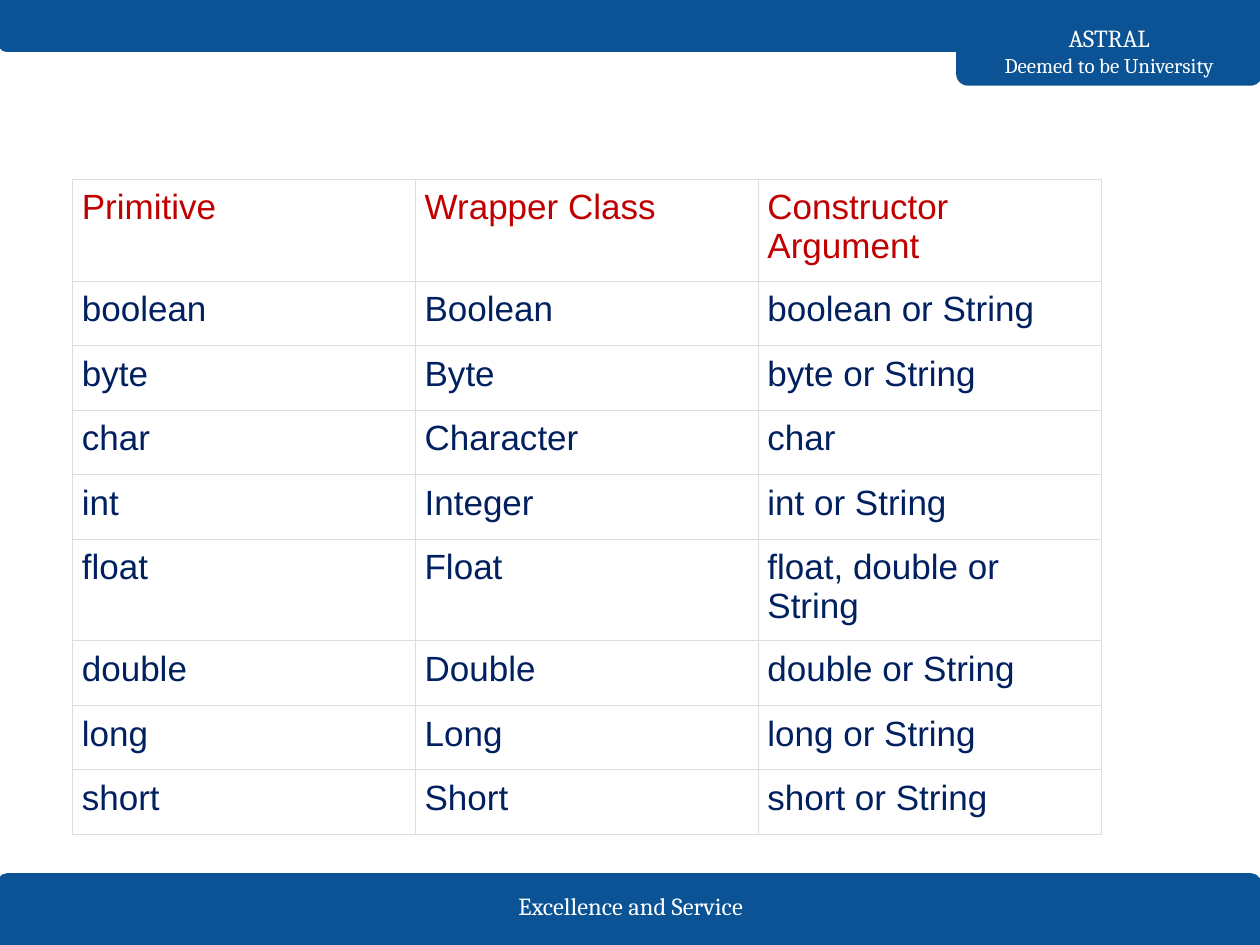
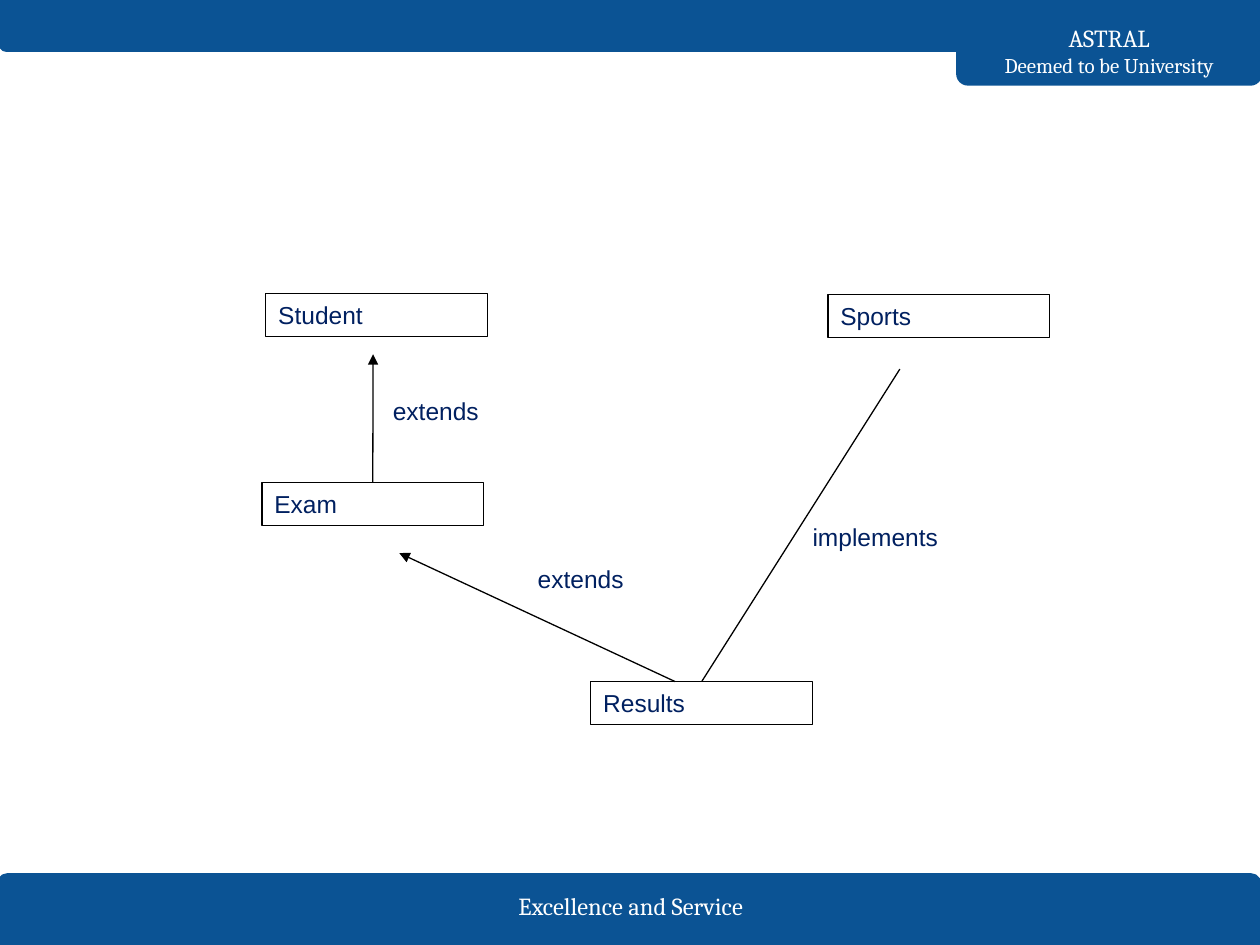
from pptx import Presentation
from pptx.dml.color import RGBColor
from pptx.enum.shapes import MSO_CONNECTOR, MSO_SHAPE
from pptx.enum.text import MSO_ANCHOR, MSO_AUTO_SIZE, PP_ALIGN
from pptx.oxml import parse_xml
from pptx.oxml.ns import nsdecls
from pptx.util import Cm, Pt

BAND_BLUE = RGBColor(0x0B, 0x53, 0x94)
NAVY = RGBColor(0x00, 0x20, 0x60)
RED = RGBColor(0xC0, 0x00, 0x00)
WHITE = RGBColor(0xFF, 0xFF, 0xFF)
BLACK = RGBColor(0x00, 0x00, 0x00)
BORDER_GREY = RGBColor(0xDD, 0xDD, 0xDD)
BODY_FONT, BAND_FONT = "Arial", "Cambria"

# Bands: left, top, width, height in cm, rotation
BANDS = [
    (-0.03, 17.63, 25.43, 1.42, 0),
    (19.3, 0, 6.12, 1.7, 180),
    (0, 0, 25.43, 1.02, 180),
]
# Band texts: place in cm, lines as (text, size)
BAND_TEXTS = [
    ((9.3, 17.86, 6.83, 0.81), [("Excellence and Service", 14)]),
    ((19.3, 0.69, 6.12, 0.64), [("ASTRAL", 14), ("Deemed to be University", 12)]),
]

WRAPPERS = [
    ("Primitive", "Wrapper Class", "Constructor Argument"),
    ("boolean", "Boolean", "boolean or String"),
    ("byte", "Byte", "byte or String"),
    ("char", "Character", "char"),
    ("int", "Integer", "int or String"),
    ("float", "Float", "float, double or String"),
    ("double", "Double", "double or String"),
    ("long", "Long", "long or String"),
    ("short", "Short", "short or String"),
]
TABLE_LEFT, TABLE_TOP, COLUMN_WIDTH, ROW_HEIGHT = 1.47, 3.61, 6.91, 1.3
CELL_MARGIN = Cm(0.18)

CLASS_WIDTH, LABEL_HEIGHT = 4.47, 0.86
CLASSES = {
    "Student": (5.36, 5.92),
    "Sports": (16.69, 5.94),
    "Exam": (5.28, 9.73),
    "Results": (11.91, 13.74),
}
# Relations: class, start x (None is the middle of its top side), end, arrow
RELATIONS = [
    ("Exam", None, (7.52, 7.14), True),
    ("Results", 13.61, (8.05, 11.15), True),
    ("Results", None, (18.14, 7.44), False),
]
RELATION_LABELS = [
    ("extends", 7.67, 7.85, 2.26),
    ("extends", 10.59, 11.25, 2.26),
    ("implements", 16.13, 10.39, 3.05),
]


def lengths(*values):
    return [Cm(value) for value in values]


def add_span(para, text, *, size, color, font=BODY_FONT):
    span = para.add_run()
    span.text = text
    span.font.size = Pt(size)
    span.font.name = font
    span.font.color.rgb = color


def add_bands(page):
    for *place, rotation in BANDS:
        band = page.shapes.add_shape(MSO_SHAPE.ROUND_2_SAME_RECTANGLE, *lengths(*place))
        band.adjustments[0] = 0.125
        band.rotation = rotation
        band.shadow.inherit = False
        band.fill.solid()
        band.fill.fore_color.rgb = BAND_BLUE
        band.line.color.rgb = BAND_BLUE
        band.line.width = Pt(1.5)
    for place, lines in BAND_TEXTS:
        frame = page.shapes.add_textbox(*lengths(*place)).text_frame
        frame.word_wrap = True
        frame.vertical_anchor = MSO_ANCHOR.MIDDLE
        frame.margin_top = frame.margin_bottom = Cm(0.25)
        para = frame.paragraphs[0]
        para.alignment = PP_ALIGN.CENTER
        for index, (text, size) in enumerate(lines):
            if index:
                para.add_line_break()
            add_span(para, text, size=size, color=WHITE, font=BAND_FONT)


def add_borders(cell):
    properties = cell._tc.get_or_add_tcPr()
    for side in "LRTB":
        properties.append(parse_xml(
            f'<a:ln{side} {nsdecls("a")} w="{Pt(0.6)}"><a:solidFill>'
            f'<a:srgbClr val="{BORDER_GREY}"/></a:solidFill></a:ln{side}>'))


def add_wrapper_table(page):
    row_count, column_count = len(WRAPPERS), len(WRAPPERS[0])
    table = page.shapes.add_table(
        row_count, column_count,
        *lengths(TABLE_LEFT, TABLE_TOP, COLUMN_WIDTH * column_count,
                 ROW_HEIGHT * row_count)).table
    for row_index, texts in enumerate(WRAPPERS):
        for column_index, text in enumerate(texts):
            cell = table.cell(row_index, column_index)
            cell.margin_left = cell.margin_right = CELL_MARGIN
            cell.margin_top = cell.margin_bottom = CELL_MARGIN
            add_borders(cell)
            cell.fill.solid()
            cell.fill.fore_color.rgb = WHITE
            add_span(cell.text_frame.paragraphs[0], text, size=20,
                     color=NAVY if row_index else RED)


def add_label(box, text, *, wrap):
    frame = box.text_frame
    frame.word_wrap = wrap
    frame.auto_size = MSO_AUTO_SIZE.SHAPE_TO_FIT_TEXT
    frame.vertical_anchor = MSO_ANCHOR.TOP
    para = frame.paragraphs[0]
    para.alignment = PP_ALIGN.LEFT
    add_span(para, text, size=14, color=NAVY)


def add_class_box(page, name, left, top):
    box = page.shapes.add_shape(
        MSO_SHAPE.RECTANGLE, *lengths(left, top, CLASS_WIDTH, LABEL_HEIGHT))
    box.shadow.inherit = False
    box.fill.background()
    box.line.color.rgb = BLACK
    box.line.width = Pt(0.75)
    add_label(box, name, wrap=True)
    return box


def add_relation(page, box, start_x, end, arrow):
    start = box.left + box.width // 2 if start_x is None else Cm(start_x)
    line = page.shapes.add_connector(
        MSO_CONNECTOR.STRAIGHT, start, box.top, *lengths(*end))
    if start_x is None:
        line.begin_connect(box, 0)
    line.line.color.rgb = BLACK
    line.line.width = Pt(0.75)
    if arrow:
        line.line._get_or_add_ln().append(
            parse_xml(f'<a:tailEnd {nsdecls("a")} type="triangle"/>'))
    line._element.spPr.append(parse_xml(f'<a:effectLst {nsdecls("a")}/>'))


def add_class_diagram(page):
    boxes = {name: add_class_box(page, name, *corner)
             for name, corner in CLASSES.items()}
    for name, start_x, end, arrow in RELATIONS:
        add_relation(page, boxes[name], start_x, end, arrow)
    for text, left, top, width in RELATION_LABELS:
        box = page.shapes.add_textbox(*lengths(left, top, width, LABEL_HEIGHT))
        add_label(box, text, wrap=False)


def main():
    deck = Presentation()
    deck.slide_width, deck.slide_height = lengths(25.4, 19.05)
    for add_content in (add_wrapper_table, add_class_diagram):
        page = deck.slides.add_slide(deck.slide_layouts[6])
        add_bands(page)
        add_content(page)
    deck.save("out.pptx")


if __name__ == "__main__":
    main()
